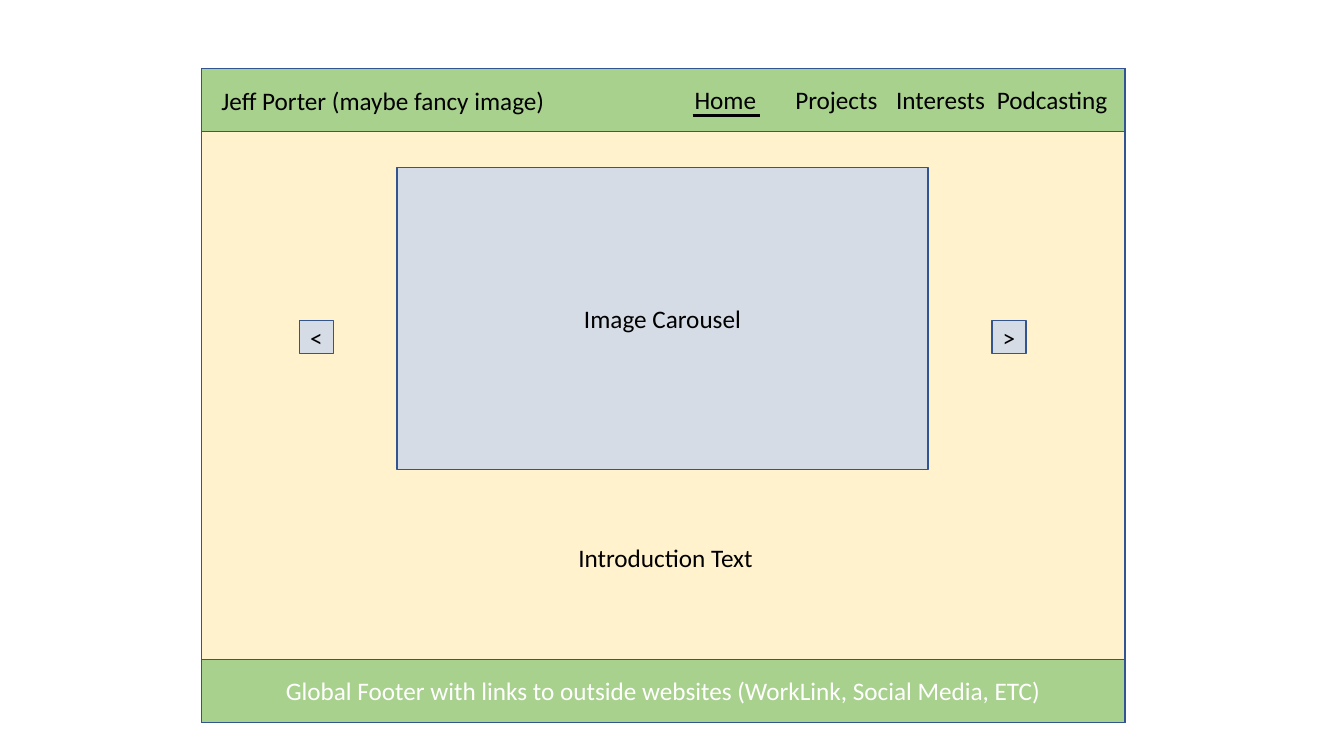
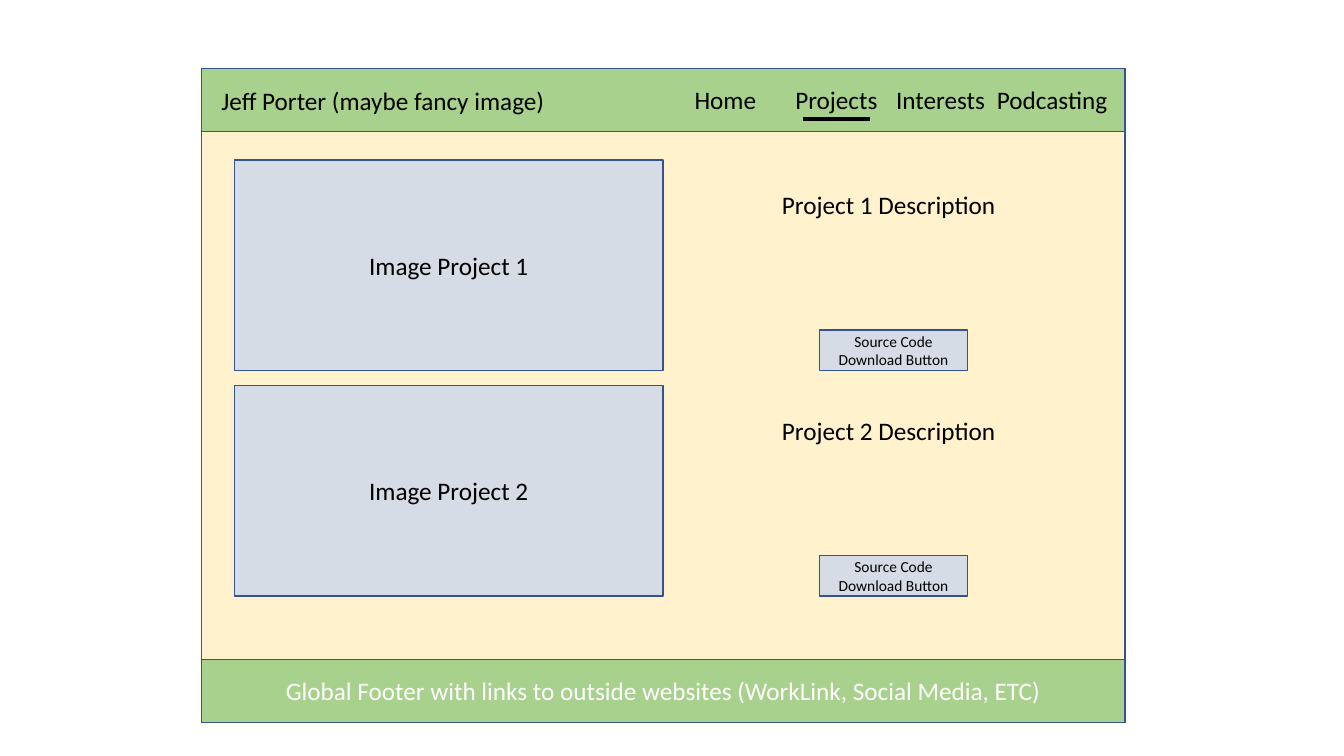
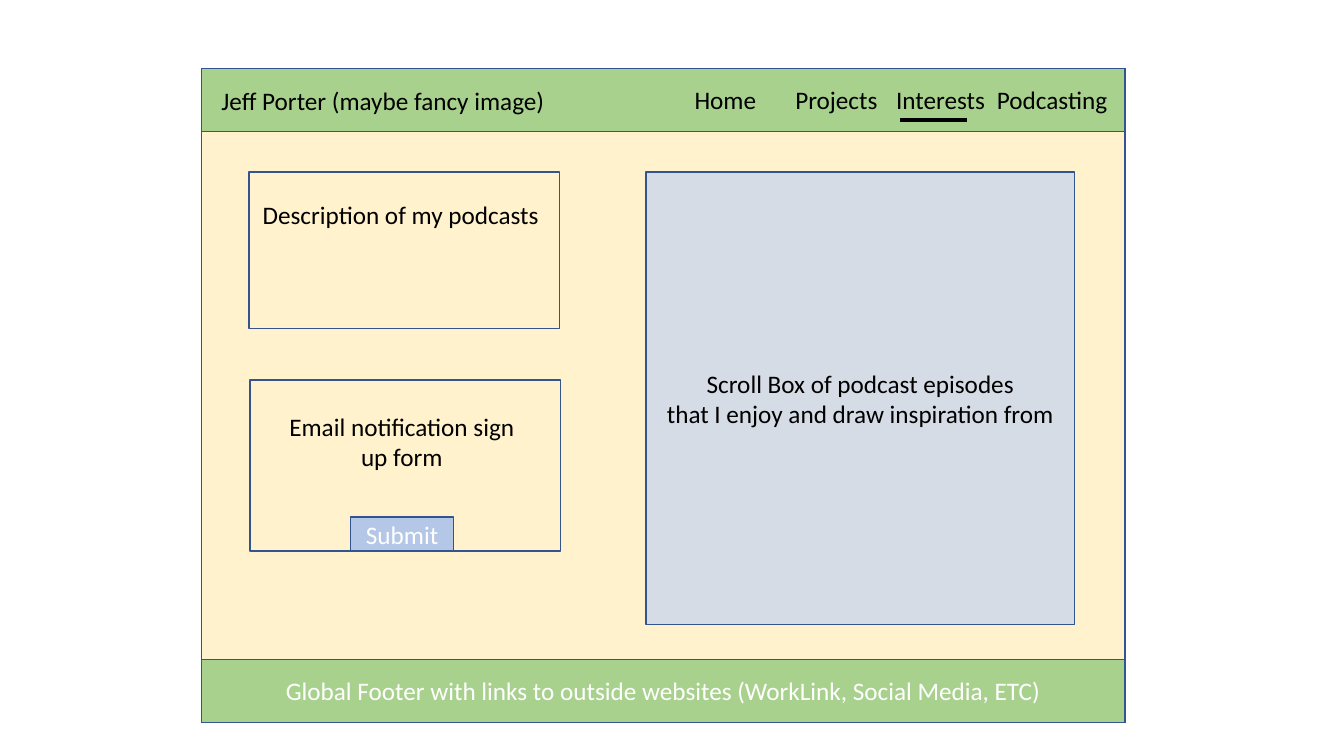
"""Build three wireframe slides of a personal website."""
from dataclasses import dataclass

from lxml.etree import SubElement
from pptx import Presentation
from pptx.dml.color import RGBColor
from pptx.enum.shapes import MSO_CONNECTOR, MSO_SHAPE
from pptx.enum.text import MSO_ANCHOR, MSO_AUTO_SIZE, PP_ALIGN
from pptx.oxml.ns import qn
from pptx.util import Pt


@dataclass(frozen=True)
class Theme:
    font: str = "Calibri"
    black: str = "000000"
    white: str = "FFFFFF"
    edge: str = "325491"
    page: str = "FFF2CC"
    band: str = "A9D18E"
    panel: str = "D6DCE5"
    submit: str = "B4C7E7"
    body: float = 18
    small: float = 11
    thin: float = 1
    thick: float = 2.25


def assign(item, values):
    for name, value in values.items():
        setattr(item, name, value)


class Deck:
    def __init__(self, theme):
        self.theme = theme
        self.file = Presentation()
        assign(self.file, {"slide_width": Pt(960), "slide_height": Pt(540)})
        self.slide = None

    def words(self, shape, text, size=None, color=None, align=PP_ALIGN.LEFT,
              anchor=MSO_ANCHOR.TOP, fit=MSO_AUTO_SIZE.NONE):
        frame = shape.text_frame
        frame.text = text
        assign(frame, {"word_wrap": True, "vertical_anchor": anchor, "auto_size": fit})
        font = {"name": self.theme.font, "size": Pt(size or self.theme.body)}
        for para in frame.paragraphs:
            para.alignment = align
            for run in para.runs:
                assign(run.font, font)
                run.font.color.rgb = RGBColor.from_string(color or self.theme.black)

    def box(self, place, fill=None, text="", size=None, color=None):
        shape = self.slide.shapes.add_shape(MSO_SHAPE.RECTANGLE, *map(Pt, place))
        shape.shadow.inherit = False
        if fill:
            shape.fill.solid()
            shape.fill.fore_color.rgb = RGBColor.from_string(fill)
        else:
            shape.fill.background()
        shape.line.color.rgb = RGBColor.from_string(self.theme.edge)
        shape.line.width = Pt(self.theme.thin)
        if text:
            self.words(shape, text, size, color, PP_ALIGN.CENTER, MSO_ANCHOR.MIDDLE)

    def label(self, place, text, align=PP_ALIGN.LEFT):
        shape = self.slide.shapes.add_textbox(*map(Pt, place))
        self.words(shape, text, align=align, fit=MSO_AUTO_SIZE.SHAPE_TO_FIT_TEXT)
        return shape

    def title(self, place, text):
        shape = self.slide.shapes.title
        assign(shape, dict(zip(("left", "top", "width", "height"), map(Pt, place))))
        self.words(shape, text)
        self.slide.shapes.element.append(shape.element)

    def menu(self, place, names):
        shape = self.label(place, "\t".join(names))
        props = shape.text_frame.paragraphs[0]._p.get_or_add_pPr()
        stops = SubElement(props, qn("a:tabLst"))
        for step in range(1, len(names)):
            SubElement(stops, qn("a:tab"), pos=str(Pt(72 * step)), algn="l")

    def rule(self, left, top, width):
        ends = map(Pt, (left, top, left + width, top))
        line = self.slide.shapes.add_connector(MSO_CONNECTOR.STRAIGHT, *ends)
        line.line.color.rgb = RGBColor.from_string(self.theme.black)
        line.line.width = Pt(self.theme.thick)
        SubElement(line.element.spPr, qn("a:effectLst"))

    def page(self, mark):
        self.slide = self.file.slides.add_slide(self.file.slide_layouts[5])
        left, top, width, height, band = 144, 49, 659.5, 467, 45
        self.box((left, top, width, height), self.theme.page)
        self.box((left, top, width, band), self.theme.band)
        self.title((151, 57, 248.5, 29), "Jeff Porter (maybe fancy image)")
        self.menu((489, 57, 314.5, 29), ("Home", "Projects", "Interests", "Podcasting"))
        self.rule(*mark, 48)
        self.box((left, top + height - band, width, band), self.theme.band,
                 "Global Footer with links to outside websites (WorkLink, Social Media, ETC)",
                 color=self.theme.white)


theme = Theme()
deck = Deck(theme)

deck.page((494.75, 82.75))
deck.box((283.5, 119.5, 379.5, 216), theme.panel, "Image Carousel")
for left, sign in ((708.5, ">"), (213.75, "<")):
    deck.box((left, 229, 24.5, 23.5), theme.panel, sign)
deck.label((406, 384, 147.5, 29), "Introduction Text")

deck.page((573.25, 85))
for row in range(2):
    top = 114.25 + 161 * row
    deck.box((167.5, top, 306, 150.5), theme.panel, f"Image Project {row + 1}")
    deck.label((551.5, top + 17.5, 174.5, 29), f"Project {row + 1} Description")
    deck.box((585.25, top + 121.5, 106, 29), theme.panel,
             "Source Code Download Button", theme.small)

deck.page((643, 85.75))
deck.box((461.5, 123, 306, 323), theme.panel,
         "Scroll Box of podcast episodes\nthat I enjoy and draw inspiration from")
deck.box((177.75, 123, 222, 111.5))
deck.label((180.5, 139, 216, 29), "Description of my podcasts")
deck.box((178.5, 271.5, 222, 122))
deck.label((192, 290.25, 190, 51), "Email notification sign up form", PP_ALIGN.CENTER)
deck.box((250.5, 369.25, 73.5, 24.25), theme.submit, "Submit", color=theme.white)

deck.file.save("out.pptx")
